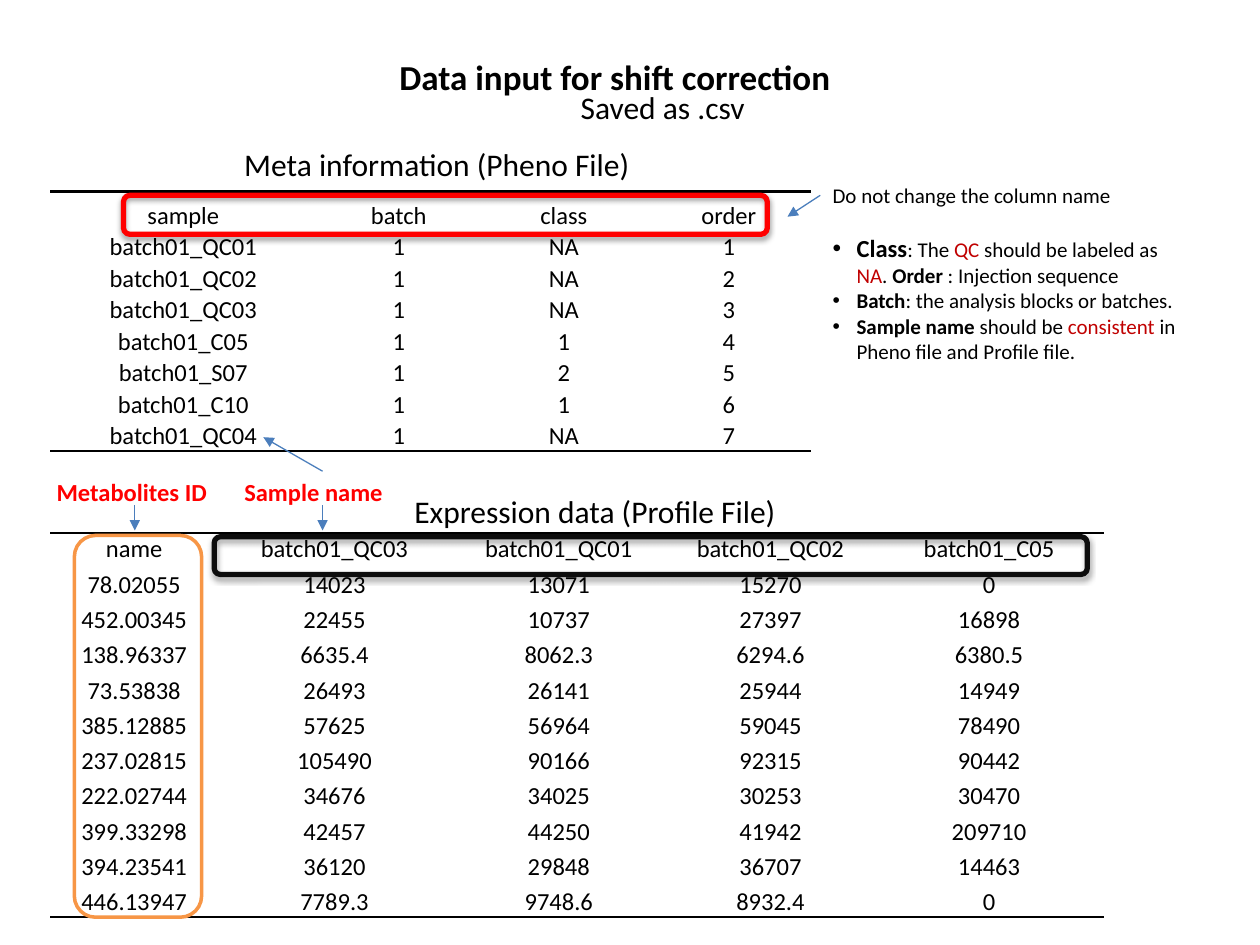
from lxml.etree import SubElement
from pptx import Presentation
from pptx.dml.color import RGBColor
from pptx.enum.shapes import MSO_CONNECTOR, MSO_SHAPE
from pptx.enum.text import MSO_ANCHOR, MSO_AUTO_SIZE, PP_ALIGN
from pptx.oxml.ns import qn
from pptx.util import Inches, Pt

COLORS = {
    "text": "000000",
    "key": "C00000",
    "label": "FF0000",
    "arrow": "4B7EBC",
    "ids": "F79646",
    "samples": "0D0D0D",
}
NO_GRID_STYLE = "{2D5ABB26-0587-4C30-8999-92F81FD0307C}"

PHENO_ROWS = [
    ["sample", "batch", "class", "order"],
    ["batch01_QC01", "1", "NA", "1"],
    ["batch01_QC02", "1", "NA", "2"],
    ["batch01_QC03", "1", "NA", "3"],
    ["batch01_C05", "1", "1", "4"],
    ["batch01_S07", "1", "2", "5"],
    ["batch01_C10", "1", "1", "6"],
    ["batch01_QC04", "1", "NA", "7"],
]
PROFILE_ROWS = [
    ["name", "batch01_QC03", "batch01_QC01", "batch01_QC02", "batch01_C05"],
    ["78.02055", "14023", "13071", "15270", "0"],
    ["452.00345", "22455", "10737", "27397", "16898"],
    ["138.96337", "6635.4", "8062.3", "6294.6", "6380.5"],
    ["73.53838", "26493", "26141", "25944", "14949"],
    ["385.12885", "57625", "56964", "59045", "78490"],
    ["237.02815", "105490", "90166", "92315", "90442"],
    ["222.02744", "34676", "34025", "30253", "30470"],
    ["399.33298", "42457", "44250", "41942", "209710"],
    ["394.23541", "36120", "29848", "36707", "14463"],
    ["446.13947", "7789.3", "9748.6", "8932.4", "0"],
]
BOLD = {"bold": True}
KEY = {"color": "key"}
NOTES = [
    [("Class", {"bold": True, "size": 14}), (": The ", {}), ("QC ", KEY),
     ("should be labeled as ", {}), ("NA", KEY), (". ", {}),
     ("Order", BOLD), (" : Injection sequence", {})],
    [("Batch", BOLD), (": the analysis blocks or batches.", {})],
    [("Sample name ", BOLD), ("should be ", {}), ("consistent", KEY),
     (" in Pheno file and Profile file.", {})],
]


def rgb(name):
    return RGBColor.from_string(COLORS[name])


def write(para, text, size=12, color="text", bold=False, font="Calibri"):
    span = para.add_run()
    span.text = text
    span.font.name = font
    span.font.size = Pt(size)
    span.font.bold = bold
    span.font.color.rgb = rgb(color)


def add_bullet(para, indent=0.19):
    props = para._p.get_or_add_pPr()
    props.set("marL", str(Inches(indent)))
    props.set("indent", str(-Inches(indent)))
    SubElement(props, qn("a:buFont"), typeface="Arial")
    SubElement(props, qn("a:buChar"), char="•")


def add_tab_stop(para, position):
    stops = SubElement(para._p.get_or_add_pPr(), qn("a:tabLst"))
    SubElement(stops, qn("a:tab"), pos=str(Inches(position)), algn="l")


def add_rule(cell, side):
    """Draw a black border on one side ("T" or "B") of a cell."""
    props = cell._tc.get_or_add_tcPr()
    line = SubElement(props, qn(f"a:ln{side}"), w=str(Pt(1.5)))
    fill = SubElement(line, qn("a:solidFill"))
    SubElement(fill, qn("a:srgbClr"), val=COLORS["text"])
    props.insert(0, line)


def add_shadow(effects):
    shadow = SubElement(effects, qn("a:outerShdw"), blurRad=str(Pt(3.1)),
                        dist=str(Pt(1.6)), dir="5400000", rotWithShape="0")
    color = SubElement(shadow, qn("a:srgbClr"), val=COLORS["text"])
    SubElement(color, qn("a:alpha"), val="38000")


class SlideBuilder:
    def __init__(self, slide):
        self.slide = slide
        self.shapes = slide.shapes

    def title(self, text, left, top, width, height):
        title = self.shapes.title
        title.left, title.top = Inches(left), Inches(top)
        title.width, title.height = Inches(width), Inches(height)
        frame = title.text_frame
        frame.auto_size = MSO_AUTO_SIZE.NONE
        frame.vertical_anchor = MSO_ANCHOR.MIDDLE
        para = frame.paragraphs[0]
        para.alignment = PP_ALIGN.CENTER
        para.line_spacing = 0.9
        write(para, text, size=20, bold=True)

    def text(self, text, left, top, width, height, wrap=True, **style):
        box = self.shapes.add_textbox(Inches(left), Inches(top),
                                      Inches(width), Inches(height))
        box.text_frame.word_wrap = wrap
        write(box.text_frame.paragraphs[0], text, **style)
        return box.text_frame

    def table(self, rows, left, top, widths, heights):
        frame = self.shapes.add_table(
            len(rows), len(widths), Inches(left), Inches(top),
            Inches(sum(widths)), Inches(sum(heights)))
        table = frame.table
        table.first_row = table.horz_banding = False
        table._tbl.tblPr.find(qn("a:tableStyleId")).text = NO_GRID_STYLE
        for column, width in zip(table.columns, widths):
            column.width = Inches(width)
        for row, height, values in zip(table.rows, heights, rows):
            row.height = Inches(height)
            for cell, value in zip(row.cells, values):
                self.fill_cell(cell, value)
        for column in range(len(widths)):
            add_rule(table.cell(0, column), "T")
            add_rule(table.cell(len(rows) - 1, column), "B")

    def fill_cell(self, cell, value):
        cell.fill.background()
        cell.vertical_anchor = MSO_ANCHOR.BOTTOM
        cell.margin_left = cell.margin_right = cell.margin_top = Inches(0.01)
        cell.margin_bottom = 0
        para = cell.text_frame.paragraphs[0]
        para.alignment = PP_ALIGN.CENTER
        write(para, value, size=14)

    def outline(self, left, top, width, height, color, weight, shadow=False):
        shape = self.shapes.add_shape(
            MSO_SHAPE.ROUNDED_RECTANGLE, Inches(left), Inches(top),
            Inches(width), Inches(height))
        shape.fill.background()
        shape.line.color.rgb = rgb(color)
        shape.line.width = Pt(weight)
        shape.shadow.inherit = False
        if shadow:
            add_shadow(shape._element.spPr.find(qn("a:effectLst")))

    def arrow(self, start, end):
        arrow = self.shapes.add_connector(
            MSO_CONNECTOR.STRAIGHT, *map(Inches, start + end))
        arrow.line.color.rgb = rgb("arrow")
        arrow.line.width = Pt(0.75)
        SubElement(arrow.line._get_or_add_ln(), qn("a:tailEnd"), type="triangle")
        SubElement(arrow._element.spPr, qn("a:effectLst"))


def main():
    deck = Presentation()
    deck.slide_width, deck.slide_height = Inches(10), Inches(7.5)
    page = SlideBuilder(deck.slides.add_slide(deck.slide_layouts[5]))

    page.table(PHENO_ROWS, 0.4, 1.52, [2.11] + [1.31] * 3, [0.31] + [0.25] * 7)
    page.table(PROFILE_ROWS, 0.4, 4.23, [1.33, 1.85, 1.71, 1.65, 1.82],
               [0.25] + [0.28] * 10)
    page.title("Data input for shift correction", 2.62, 0.26, 4.52, 0.73)
    page.text("Meta information (Pheno File)", 1.84, 1.1, 4, 0.4, size=18)
    page.text("Expression data (Profile File)", 3.19, 3.86, 4.87, 0.4, size=18)
    page.text("Saved as .csv", 4.51, 0.65, 1.52, 0.4, wrap=False, size=18)

    page.outline(0.98, 1.55, 5.11, 0.31, "label", 3, shadow=True)
    page.arrow((6.51, 1.55), (6.25, 1.72))
    notes = page.text("Do not change the column name", 6.51, 1.4, 3.04, 1.95)
    for spans in NOTES:
        para = notes.add_paragraph()
        add_bullet(para)
        for text, style in spans:
            write(para, text, **style)
    notes.paragraphs[1].space_before = Pt(14.6)

    page.outline(0.59, 4.25, 1.01, 3.03, "ids", 2)
    page.outline(1.7, 4.26, 6.93, 0.3, "samples", 3, shadow=True)
    labels = page.text("Metabolites ID\tSample name", 0.35, 3.74, 4.42, 0.34,
                       size=14, color="label", bold=True)
    add_tab_stop(labels.paragraphs[0], 1.49)
    for center in (1.07, 2.56):
        page.arrow((center, 4.01), (center, 4.21))
    page.arrow((2.56, 3.74), (2.09, 3.47))

    deck.save("out.pptx")


if __name__ == "__main__":
    main()
